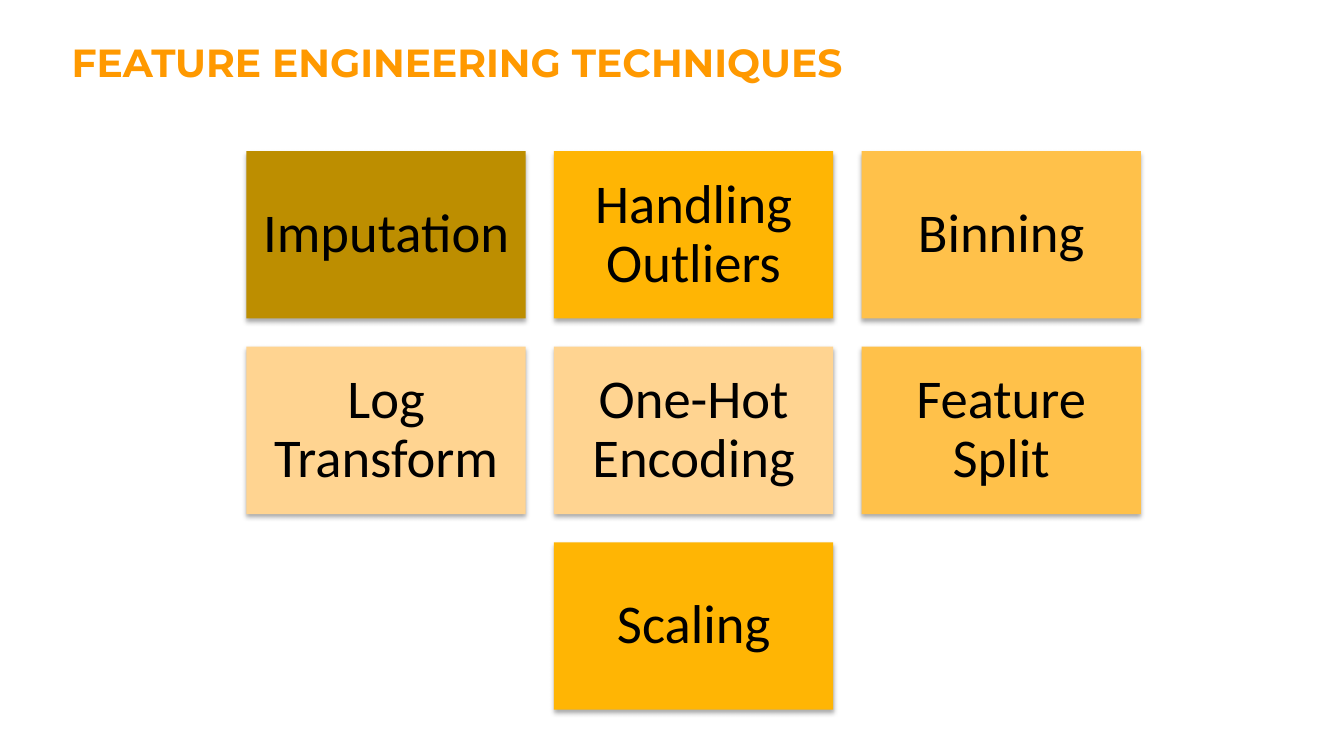
"""Build the slide of feature engineering techniques as a centred grid of tiles."""
from dataclasses import dataclass

from lxml import etree
from pptx import Presentation
from pptx import util as u
from pptx.dml.color import RGBColor
from pptx.enum import shapes, text
from pptx.oxml import ns

ORANGE = RGBColor(0xFF, 0x99, 0x00)
BLACK = RGBColor(0x00, 0x00, 0x00)
DARK_GOLD = RGBColor(0xBD, 0x8E, 0x00)
GOLD = RGBColor(0xFF, 0xB5, 0x04)
AMBER = RGBColor(0xFF, 0xC1, 0x4A)
PEACH = RGBColor(0xFF, 0xD4, 0x91)

GRID_CENTRE, GRID_TOP = 6.88, 1.5
TILE_WIDTH, TILE_HEIGHT = 2.77, 1.66
COLUMN_PITCH, ROW_PITCH = 3.05, 1.94
TILE_INSET = u.Inches(0.15)


@dataclass(frozen=True)
class Technique:
    label: str
    colour: RGBColor


TECHNIQUE_ROWS = [
    [Technique("Imputation", DARK_GOLD), Technique("Handling Outliers", GOLD),
     Technique("Binning", AMBER)],
    [Technique("Log Transform", PEACH), Technique("One-Hot Encoding", PEACH),
     Technique("Feature Split", AMBER)],
    [Technique("Scaling", GOLD)],
]


def add_run(paragraph, words: str, font_name: str, size: float,
            colour: RGBColor, bold: bool = False) -> None:
    run = paragraph.add_run()
    run.text = words
    run.font.name = font_name
    run.font.size = u.Pt(size)
    run.font.color.rgb = colour
    run.font.bold = bold


def add_soft_shadow(tile) -> None:
    tile.shadow.inherit = False
    effects = tile._element.spPr.find(ns.qn("a:effectLst"))
    shadow = etree.SubElement(
        effects, ns.qn("a:outerShdw"), blurRad=str(u.Pt(3.5)),
        dist=str(u.Pt(2.2)), dir="5400000", algn="ctr", rotWithShape="0")
    tint = etree.SubElement(shadow, ns.qn("a:srgbClr"), val=str(BLACK))
    etree.SubElement(tint, ns.qn("a:alpha"), val="32000")


def add_tile(slide, technique: Technique, left: float, top: float) -> None:
    tile = slide.shapes.add_shape(
        shapes.MSO_SHAPE.RECTANGLE, u.Inches(left), u.Inches(top),
        u.Inches(TILE_WIDTH), u.Inches(TILE_HEIGHT))
    tile.fill.solid()
    tile.fill.fore_color.rgb = technique.colour
    tile.line.fill.background()
    add_soft_shadow(tile)
    frame = tile.text_frame
    frame.word_wrap = True
    frame.vertical_anchor = text.MSO_ANCHOR.MIDDLE
    frame.margin_left = frame.margin_right = TILE_INSET
    frame.margin_top = frame.margin_bottom = TILE_INSET
    label = frame.paragraphs[0]
    label.alignment = text.PP_ALIGN.CENTER
    label.line_spacing = 0.9
    add_run(label, technique.label, "Calibri", 39, BLACK)


def add_heading(slide, words: str) -> None:
    heading = slide.shapes.title
    heading.left, heading.top = u.Inches(0.61), u.Inches(0.33)
    heading.width, heading.height = u.Inches(10.75), u.Inches(0.57)
    frame = heading.text_frame
    frame.word_wrap = True
    frame.auto_size = text.MSO_AUTO_SIZE.SHAPE_TO_FIT_TEXT
    frame.vertical_anchor = text.MSO_ANCHOR.TOP
    frame.paragraphs[0].alignment = text.PP_ALIGN.LEFT
    add_run(frame.paragraphs[0], words, "Montserrat", 28, ORANGE, bold=True)


def main() -> None:
    deck = Presentation()
    deck.slide_width, deck.slide_height = u.Inches(13.33), u.Inches(7.5)
    slide = deck.slides.add_slide(deck.slide_layouts.get_by_name("Title Only"))
    add_heading(slide, "FEATURE ENGINEERING TECHNIQUES")
    for row, techniques in enumerate(TECHNIQUE_ROWS):
        row_width = (len(techniques) - 1) * COLUMN_PITCH + TILE_WIDTH
        row_left = GRID_CENTRE - row_width / 2
        for column, technique in enumerate(techniques):
            add_tile(slide, technique, row_left + column * COLUMN_PITCH,
                     GRID_TOP + row * ROW_PITCH)
    deck.save("out.pptx")


if __name__ == "__main__":
    main()
